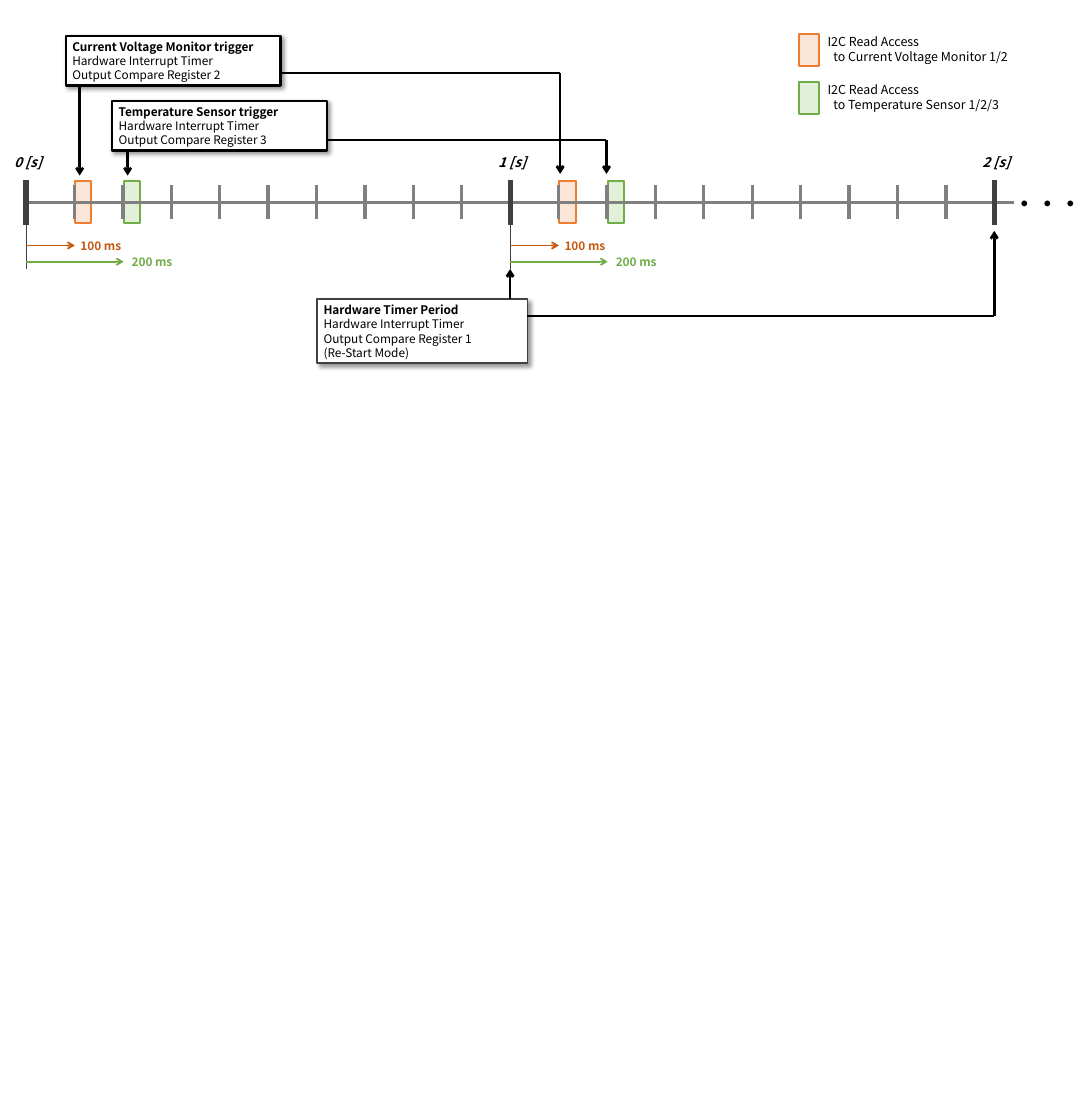
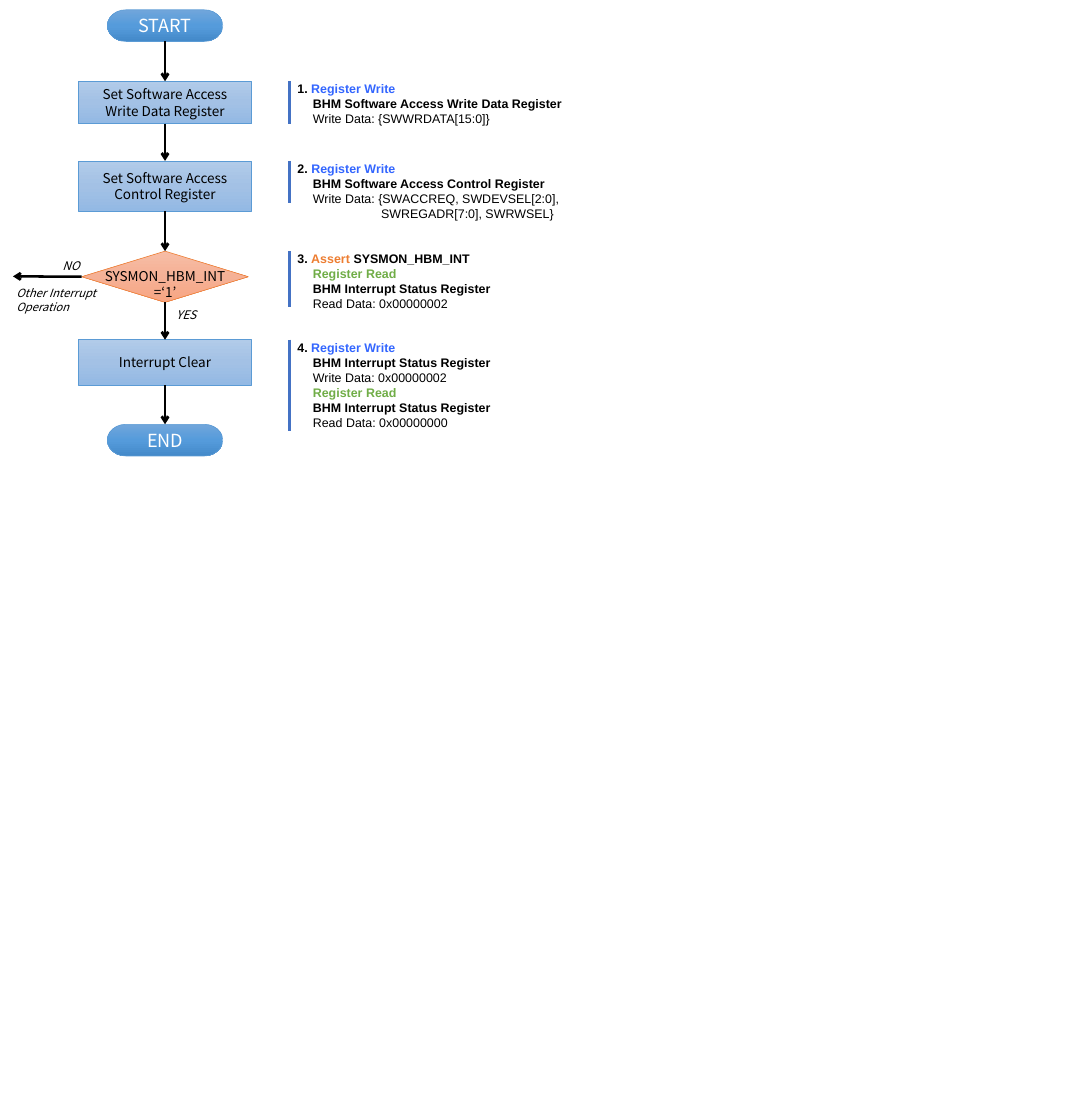
from copy import deepcopy
from dataclasses import dataclass

from lxml import etree
from pptx import Presentation
from pptx.dml.color import RGBColor
from pptx.enum.shapes import MSO_CONNECTOR, MSO_SHAPE
from pptx.enum.text import MSO_ANCHOR, PP_ALIGN
from pptx.oxml.ns import qn
from pptx.util import Inches, Pt

RECTANGLE = MSO_SHAPE.RECTANGLE
TERMINATOR = MSO_SHAPE.FLOWCHART_TERMINATOR
DECISION = MSO_SHAPE.FLOWCHART_DECISION
STRAIGHT = MSO_CONNECTOR.STRAIGHT
LEFT, CENTER = PP_ALIGN.LEFT, PP_ALIGN.CENTER
TOP, MIDDLE = MSO_ANCHOR.TOP, MSO_ANCHOR.MIDDLE
TOP_SIDE, LEFT_SIDE, BOTTOM_SIDE = 0, 1, 2


@dataclass(frozen=True)
class Theme:
    font: str = "Noto Sans CJK JP"
    note_font: str = "Arial"
    black: str = "000000"
    white: str = "FFFFFF"
    dark: str = "404040"
    gray: str = "808080"
    orange: str = "ED7D31"
    orange_pale: str = "FBE5D6"
    orange_dark: str = "C55A11"
    green: str = "70AD47"
    green_pale: str = "E2F0D9"
    blue: str = "5B9BD5"
    write_blue: str = "3366FF"
    bar_blue: str = "4472C4"
    terminal_fill: tuple = ("71A6DB", "559BDB", "448ACA")
    step_fill: tuple = ("B1CBE9", "A3C1E5", "93B9E4")
    decision_fill: tuple = ("F7BDA5", "F5B196", "F8A582")
    tiny: float = 10
    small: float = 10.5
    note: float = 11
    body: float = 12
    terminal: float = 16
    dots: float = 20
    line_spacing: float = 1.21


theme = Theme()


def add_box(slide, at, lines=(), kind=None, fill=None, line=None, line_width=0.5,
            size=theme.small, font=theme.font, color=theme.black, bold=False, italic=False,
            align=LEFT, anchor=TOP, insets=(0, 0, 0, 0)):
    position = [Inches(length) for length in at]
    if kind is None:
        shape = slide.shapes.add_textbox(*position)
    else:
        shape = slide.shapes.add_shape(kind, *position)
        shape.line.color.rgb = RGBColor.from_string(line)
        shape.line.width = Pt(line_width)
        shape.shadow.inherit = False
        if isinstance(fill, tuple):
            shape.fill.gradient()
            shape.fill.gradient_angle = 270
            stop_list = shape._element.spPr.find(".//" + qn("a:gsLst"))
            stop_list.insert(1, deepcopy(stop_list[0]))
            for index, stop in enumerate(shape.fill.gradient_stops):
                stop.color.rgb = RGBColor.from_string(fill[index])
                stop.position = index / 2
        else:
            shape.fill.solid()
            shape.fill.fore_color.rgb = RGBColor.from_string(fill)
    frame = shape.text_frame
    frame.word_wrap = True
    frame.vertical_anchor = anchor
    frame.margin_left, frame.margin_top, frame.margin_right, frame.margin_bottom = map(Inches, insets)
    for index, text in enumerate(lines):
        paragraph = frame.add_paragraph() if index else frame.paragraphs[0]
        paragraph.text = text
        paragraph.alignment = align
        paragraph.line_spacing = Pt(round(size * theme.line_spacing, 1))
        paragraph.font.name = font
        paragraph.font.size = Pt(size)
        paragraph.font.bold = bold
        paragraph.font.italic = italic
        paragraph.font.color.rgb = RGBColor.from_string(color)
    return shape


def add_line(slide, start, end, color=theme.black, width=2.25, arrow=False):
    connector = slide.shapes.add_connector(STRAIGHT, *map(Inches, start + end))
    connector.line.color.rgb = RGBColor.from_string(color)
    connector.line.width = Pt(width)
    properties = connector._element.spPr
    if arrow:
        etree.SubElement(properties.find(qn("a:ln")), qn("a:tailEnd"), type="arrow")
    etree.SubElement(properties, qn("a:effectLst"))
    return connector


presentation = Presentation()
presentation.slide_width = Inches(40 / 3)
presentation.slide_height = Inches(35 / 2.54)
blank_layout = presentation.slide_layouts[6]

timeline = presentation.slides.add_slide(blank_layout)
period = (12.23 - 0.32) / 2
tick_gap = period / 10
seconds = [0.32 + period * second for second in range(3)]
axis_y = 2.49
sensors = [
    (theme.orange_pale, theme.orange, "to Current Voltage Monitor 1/2"),
    (theme.green_pale, theme.green, "to Temperature Sensor 1/2/3"),
]

for row, (fill, line, target) in enumerate(sensors):
    for origin in seconds[:2]:
        add_box(timeline, (origin + tick_gap * (row + 1) + 0.01, 2.23, 0.2, 0.51),
                kind=RECTANGLE, fill=fill, line=line, line_width=1.75)
    legend_top = 0.42 + 0.59 * row
    add_box(timeline, (9.83, legend_top, 0.24, 0.39),
            kind=RECTANGLE, fill=fill, line=line, line_width=1.75)
    legend = add_box(timeline, (10.18, legend_top, 2.64, 0.37),
                     ["I2C Read Access", target], size=theme.note)
    legend.text_frame.paragraphs[1]._p.get_or_add_pPr().set("marL", str(Inches(0.07)))

add_line(timeline, (0.33, axis_y), (12.47, axis_y), theme.gray, 3)
for second, origin in enumerate(seconds):
    add_line(timeline, (origin, 2.21), (origin, 2.77), theme.dark, 4.5)
    add_box(timeline, (origin - 0.3, 1.84, 0.61, 0.3), [f"{second} [s]"], size=theme.body,
            bold=True, italic=True, align=CENTER, insets=(0.04, 0.05, 0, 0.05))
add_box(timeline, (12.47, 2.29, 0.85, 0.44), ["・・・"], size=theme.dots,
        font=theme.note_font, bold=True, insets=(0, 0.05, 0, 0.05))

delays = [
    ("100 ms", theme.orange_dark, 0.6, 3.02, 0.59),
    ("200 ms", theme.green, 1.2, 3.22, 1.22),
]
for origin in seconds[:2]:
    for tick in range(1, 10):
        tick_x = origin + tick_gap * tick
        add_line(timeline, (tick_x, 2.28), (tick_x, 2.7), theme.gray, 3)
    add_line(timeline, (origin, 2.77), (origin, 3.31), theme.dark, 0.5)
    for label, color, length, y, label_offset in delays:
        add_line(timeline, (origin, y), (origin + length, y), color, 1.5, arrow=True)
        add_box(timeline, (origin + label_offset, y - 0.09, 0.66, 0.18), [label],
                color=color, bold=True, align=CENTER)

callouts = [
    ((0.81, 0.44, 2.64, 0.61), theme.black, 2.25,
     ["Current Voltage Monitor trigger", "Hardware Interrupt Timer", "Output Compare Register 2"]),
    ((1.38, 1.24, 2.64, 0.61), theme.black, 2.25,
     ["Temperature Sensor trigger", "Hardware Interrupt Timer", "Output Compare Register 3"]),
    ((3.9, 3.68, 2.59, 0.79), theme.dark, 1.5,
     ["Hardware Timer Period", "Hardware Interrupt Timer", "Output Compare Register 1",
      "(Re-Start Mode)"]),
]
for at, line, line_width, lines in callouts:
    callout = add_box(timeline, at, lines, RECTANGLE, theme.white, line, line_width,
                      insets=(0.08, 0.04, 0.08, 0.04))
    callout.text_frame.paragraphs[0].font.bold = True
    effects = callout._element.spPr.find(qn("a:effectLst"))
    shadow = etree.SubElement(effects, qn("a:outerShdw"), blurRad=str(Pt(4)), dist=str(Pt(3)),
                              dir="2700000", algn="tl", rotWithShape="0")
    shadow_color = etree.SubElement(shadow, qn("a:srgbClr"), val=theme.black)
    etree.SubElement(shadow_color, qn("a:alpha"), val="40000")

trigger_routes = [
    [(0.98, 1.05), (0.98, 2.16)],
    [(1.57, 1.86), (1.57, 2.16)],
    [(3.44, 0.9), (6.89, 0.9), (6.89, 2.14)],
    [(4.02, 1.72), (7.46, 1.72), (7.46, 2.14)],
    [(seconds[1], 3.68), (seconds[1], 3.31)],
    [(6.48, 3.89), (seconds[2], 3.89), (seconds[2], 2.84)],
]
for route in trigger_routes:
    for index in range(len(route) - 1):
        add_line(timeline, route[index], route[index + 1], arrow=index == len(route) - 2)

flowchart = presentation.slides.add_slide(blank_layout)
center_x = 2.03
terminal_style = (TERMINATOR, theme.terminal_fill, theme.blue, 1.42, theme.terminal, theme.white)
step_style = (RECTANGLE, theme.step_fill, theme.blue, 2.13, theme.body, theme.black)
decision_style = (DECISION, theme.decision_fill, theme.orange, 2.05, theme.body, theme.black)
flow = [
    (terminal_style, 0.12, 0.39, ["START"]),
    (step_style, 1, 0.52, ["Set Software Access", "Write Data Register"]),
    (step_style, 1.98, 0.62, ["Set Software Access", "Control Register"]),
    (decision_style, 3.09, 0.63, []),
    (step_style, 4.18, 0.56, ["Interrupt Clear"]),
    (terminal_style, 5.22, 0.39, ["END"]),
]
flow_shapes = []
for (kind, fill, line, width, size, color), top, height, lines in flow:
    flow_shapes.append(add_box(
        flowchart, (center_x - width / 2, top, width, height), lines, kind, fill, line,
        size=size, color=color, align=CENTER, anchor=MIDDLE))
for upper, lower in zip(flow_shapes, flow_shapes[1:]):
    arrow = add_line(flowchart, (center_x, 0), (center_x, 1), arrow=True)
    arrow.begin_connect(upper, BOTTOM_SIDE)
    arrow.end_connect(lower, TOP_SIDE)
no_arrow = add_line(flowchart, (1.01, 3.4), (0.16, 3.4), arrow=True)
no_arrow.begin_connect(flow_shapes[3], LEFT_SIDE)

add_box(flowchart, (1.09, 3.34, 1.88, 0.31), ["SYSMON_HBM_INT", "=‘1’"], size=theme.body,
        align=CENTER, anchor=MIDDLE)
branch_labels = [
    ((0.2, 3.47, 1.12, 0.44), ["Other Interrupt", "Operation"], theme.tiny, LEFT),
    ((0.66, 3.13, 0.43, 0.29), ["NO"], theme.small, CENTER),
    ((2.04, 3.74, 0.5, 0.29), ["YES"], theme.small, CENTER),
]
for at, lines, size, align in branch_labels:
    add_box(flowchart, at, lines, size=size, italic=True, align=align, insets=(0, 0.05, 0, 0.05))

write_heading = [("Register Write", theme.write_blue)]
read_line = ("Register Read", theme.green, True, 0.19)
status_line = ("BHM Interrupt Status Register", theme.black, True, 0.19)
notes = [
    (1, 0.52, 3.9, write_heading, [
        ("BHM Software Access Write Data Register", theme.black, True, 0.19),
        ("Write Data: {SWWRDATA[15:0]}", theme.black, False, 0.19)]),
    (1.98, 0.52, 3.55, write_heading, [
        ("BHM Software Access Control Register", theme.black, True, 0.19),
        ("Write Data: {SWACCREQ, SWDEVSEL[2:0],", theme.black, False, 0.19),
        ("SWREGADR[7:0], SWRWSEL}", theme.black, False, 1.03)]),
    (3.09, 0.69, 3.64, [("Assert ", theme.orange), ("SYSMON_HBM_INT", theme.black)], [
        read_line, status_line,
        ("Read Data: 0x00000002", theme.black, False, 0.19)]),
    (4.18, 1.12, 3.64, write_heading, [
        status_line, ("Write Data: 0x00000002", theme.black, False, 0.19),
        read_line, status_line, ("Read Data: 0x00000000", theme.black, False, 0.19)]),
]
for number, (top, bar_height, width, heading, details) in enumerate(notes, 1):
    add_line(flowchart, (3.56, top), (3.56, top + bar_height), theme.bar_blue)
    lines = [f"{number}. "] + [detail[0] for detail in details]
    note = add_box(flowchart, (3.56, top, width, 0.05 + 0.185 * len(lines)), lines,
                   size=theme.note, font=theme.note_font, bold=True, insets=(0.1, 0, 0.1, 0.05))
    heading_paragraph, *detail_paragraphs = note.text_frame.paragraphs
    for text, color in heading:
        run = heading_paragraph.add_run()
        run.text = text
        run.font.color.rgb = RGBColor.from_string(color)
    for paragraph, (_, color, bold, indent) in zip(detail_paragraphs, details):
        paragraph.font.color.rgb = RGBColor.from_string(color)
        paragraph.font.bold = bold
        paragraph._p.get_or_add_pPr().set("marL", str(Inches(indent)))

presentation.save("out.pptx")
